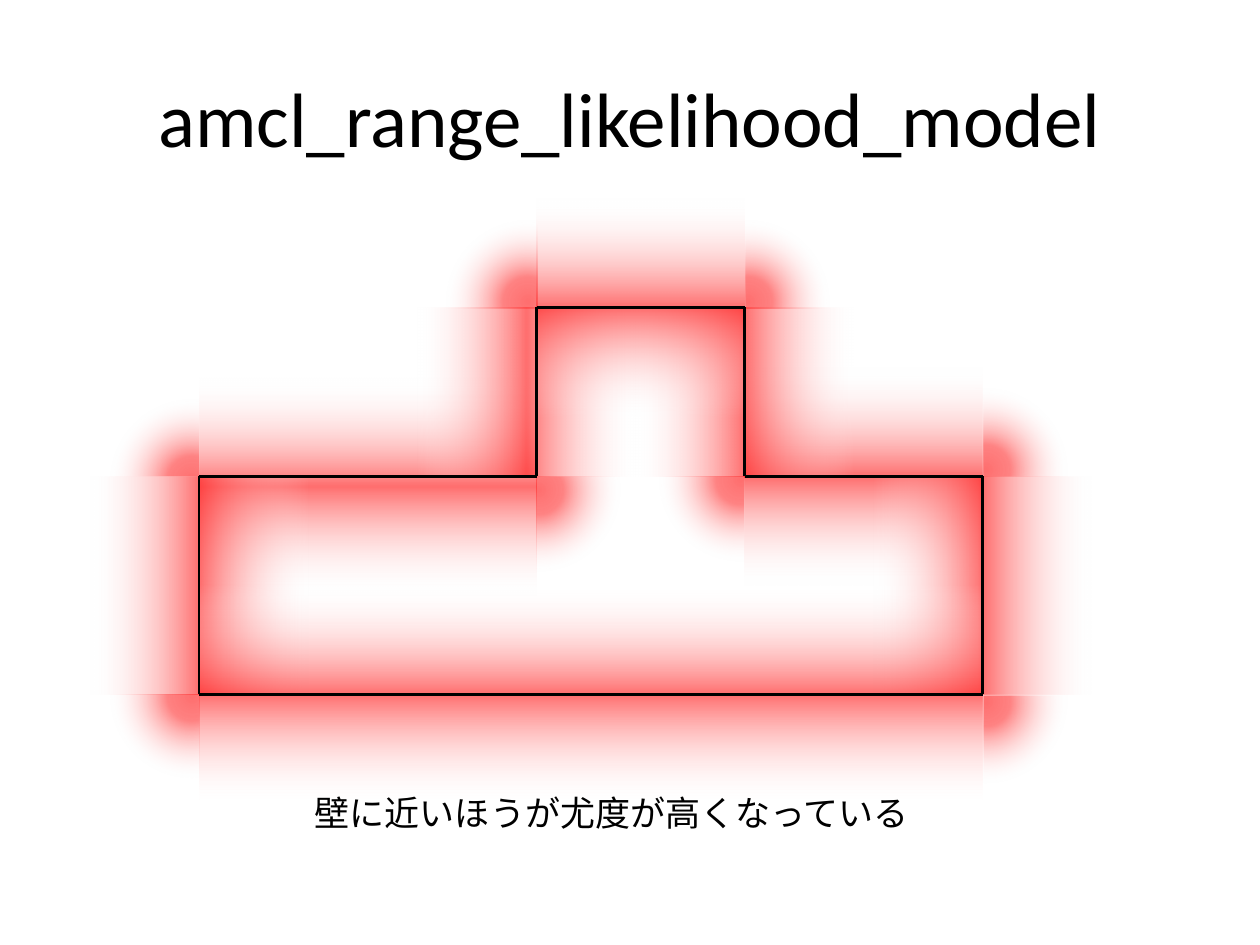
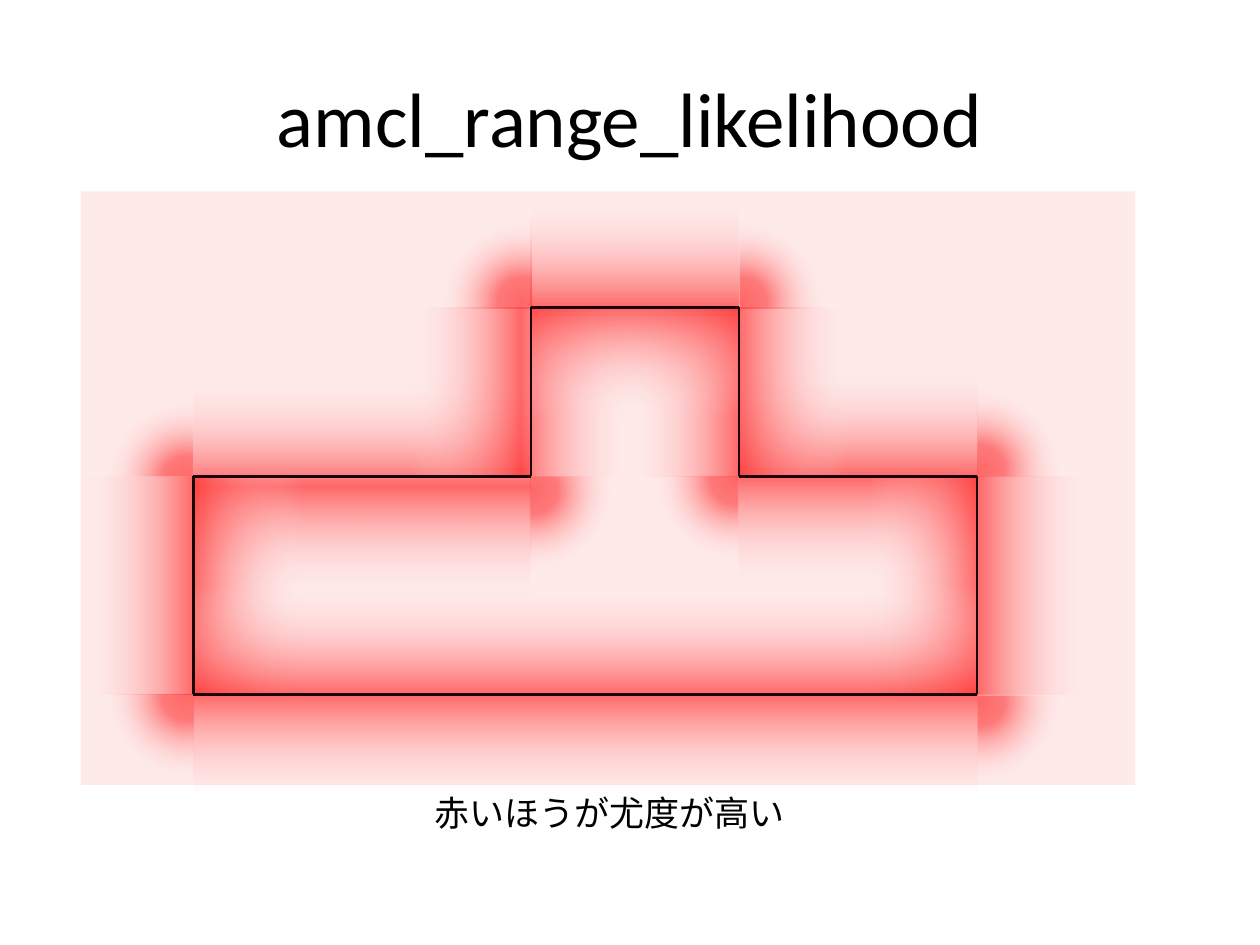
from lxml import etree
from pptx import Presentation
from pptx.dml.color import RGBColor
from pptx.enum.shapes import MSO_CONNECTOR, MSO_SHAPE
from pptx.enum.text import MSO_ANCHOR, MSO_AUTO_SIZE, PP_ALIGN
from pptx.oxml import parse_xml
from pptx.oxml.ns import nsdecls, qn
from pptx.util import Pt

RED, WHITE, BLACK = "FF3232", "FFFFFF", "000000"
FONT = "Calibri"
GLOW = 124.6
HALF = GLOW / 2

BAND_STOPS = [(0, WHITE, 0), (50, RED, 70), (100, WHITE, 0)]
BAND_PATH = '<a:lin ang="5400000" scaled="0"/>'
CORNER_STOPS = [(0, RED, 70), (16, RED, 60), (53, "FFF3F3", 0), (100, WHITE, 0)]
CORNER_PATH = ('<a:path path="circle"><a:fillToRect l="50000" t="50000" '
               'r="50000" b="50000"/></a:path>')

LEFT, NECK_LEFT, NECK_RIGHT, RIGHT = 113.8, 306.7, 425.5, 561.6
TOP, SHOULDER, BOTTOM = 175.7, 272.2, 396.7

WALLS = {
    "left": (LEFT, SHOULDER, LEFT, BOTTOM),
    "left shoulder": (LEFT, SHOULDER, NECK_LEFT, SHOULDER),
    "neck left": (NECK_LEFT, TOP, NECK_LEFT, SHOULDER),
    "top": (NECK_LEFT, TOP, NECK_RIGHT, TOP),
    "neck right": (NECK_RIGHT, TOP, NECK_RIGHT, SHOULDER),
    "right shoulder": (NECK_RIGHT, SHOULDER, RIGHT, SHOULDER),
    "right": (RIGHT, SHOULDER, RIGHT, BOTTOM),
    "bottom": (LEFT, BOTTOM, RIGHT, BOTTOM),
}
BANDS = [("left shoulder", 6), ("right shoulder", 0), ("right", 0), ("left", 0),
         ("neck left", -6), ("neck right", 0), ("bottom", 0), ("top", 0)]

CORNERS = {
    "top left": (0, (239, 110), (307.4, 110.4), (245.5, 176.4, 61.9, 60.5)),
    "shoulder left": (0, (47.5, 212.4), (113.8, 212.4), (51.8, 272.2, 62.6, 60.5)),
    "bottom left": (270, (47.5, 335.5), (79.2, 303.1), (113, 398.2, 62.6, 60.5)),
    "shoulder right": (90, (501.1, 205.9), (532.1, 241.2), (505.4, 216, 50.4, 62.6)),
    "neck right": (270, (360.7, 211.7), (392.4, 178.6), (424.1, 274.3, 62.6, 60.5)),
    "neck left": (180, (245.5, 217.4), (244.1, 217.4), (306.7, 214.6, 62.6, 57.6)),
    "bottom right": (180, (501.1, 338.4), (499.7, 337), (561.6, 334.8, 50.4, 62.6)),
    "top right": (90, (365, 110.2), (396.7, 145.4), (364.3, 115.2, 62.6, 60.5)),
}
ORDER = list(CORNERS)

SLIDES = [
    {"title": "amcl_range_likelihood_model", "caption": "壁に近いほうが尤度が高くなっている",
     "caption_box": (172.8, 448.6, 355, 31.5), "shift": 0, "order": ORDER, "veil": None},
    {"title": "amcl_range_likelihood", "caption": "赤いほうが尤度が高い",
     "caption_box": (241.2, 448.6, 229.7, 31.5), "shift": -3.3,
     "order": ORDER[1:] + ORDER[:1], "veil": (46.1, 109.4, 602.6, 339.1)},
]


def color(hex_code):
    """Turn a hex string into a colour."""
    return RGBColor.from_string(hex_code)


def add_plain(shapes, kind, box, fill, rotation=0):
    """Add a borderless preset shape with a solid fill."""
    shape = shapes.add_shape(kind, *map(Pt, box))
    shape.rotation = rotation
    shape.shadow.inherit = False
    shape.line.fill.background()
    shape.fill.solid()
    shape.fill.fore_color.rgb = color(fill)
    return shape


def set_gradient(shape, stops, direction):
    """Replace the solid fill with a gradient of transparent stops."""
    marks = "".join(
        f'<a:gs pos="{place * 1000}"><a:srgbClr val="{tone}">'
        f'<a:alpha val="{opacity * 1000}"/></a:srgbClr></a:gs>'
        for place, tone, opacity in stops)
    gradient = parse_xml(f'<a:gradFill {nsdecls("a")} rotWithShape="1">'
                         f'<a:gsLst>{marks}</a:gsLst>{direction}</a:gradFill>')
    properties = shape._element.spPr
    properties.replace(properties.find(qn("a:solidFill")), gradient)


def add_corner(slide, shift, rotation, glow, half, quarter):
    """Add a round glow masked down to one quarter."""
    shapes = slide.shapes.add_group_shape().shapes
    disc = add_plain(shapes, MSO_SHAPE.OVAL,
                     (glow[0] + shift, glow[1], GLOW, GLOW), RED, rotation)
    set_gradient(disc, CORNER_STOPS, CORNER_PATH)
    for x, y, width, height in ((*half, HALF, GLOW), quarter):
        add_plain(shapes, MSO_SHAPE.RECTANGLE, (x + shift, y, width, height),
                  WHITE, (rotation + 180) % 360)


def add_band(slide, shift, wall, offset):
    """Add the glow that runs along a wall on both sides."""
    x1, y1, x2, y2 = WALLS[wall]
    upright = x1 == x2
    length = (x2 - x1) + (y2 - y1)
    center_x = (x1 + x2) / 2 + shift + (offset if upright else 0)
    center_y = (y1 + y2) / 2 + (0 if upright else offset)
    width, height = (length, GLOW)
    band = add_plain(slide.shapes, MSO_SHAPE.RECTANGLE,
                     (center_x - width / 2, center_y - height / 2, width, height),
                     RED, 90 if upright else 0)
    set_gradient(band, BAND_STOPS, BAND_PATH)


def add_walls(slide, shift):
    """Draw the outline of the room as one group of lines."""
    shapes = slide.shapes.add_group_shape().shapes
    for x1, y1, x2, y2 in WALLS.values():
        wall = shapes.add_connector(MSO_CONNECTOR.STRAIGHT, Pt(x1 + shift), Pt(y1),
                                    Pt(x2 + shift), Pt(y2))
        wall.line.color.rgb = color(BLACK)
        wall.line.width = Pt(1.5)
        etree.SubElement(wall._element.spPr, qn("a:effectLst"))


def write(frame, text, size):
    """Set a one-line text in the shared font."""
    frame.text = text
    font = frame.paragraphs[0].runs[0].font
    font.name, font.size, font.color.rgb = FONT, Pt(size), color(BLACK)


def add_caption(slide, text, box):
    """Add the remark below the room."""
    frame = slide.shapes.add_textbox(*map(Pt, box)).text_frame
    frame.word_wrap = False
    frame.auto_size = MSO_AUTO_SIZE.SHAPE_TO_FIT_TEXT
    write(frame, text, 20)


def place_title(slide, text):
    """Format the title and bring it above the glows."""
    title = slide.shapes.title
    title.left, title.top, title.width, title.height = map(Pt, (36, 21.6, 648, 90))
    write(title.text_frame, text, 44)
    title.text_frame.vertical_anchor = MSO_ANCHOR.MIDDLE
    title.text_frame.paragraphs[0].alignment = PP_ALIGN.CENTER
    slide.shapes._spTree.append(title._element)


def add_veil(slide, box):
    """Lay a faint red sheet over the whole map."""
    veil = add_plain(slide.shapes, MSO_SHAPE.RECTANGLE, box, RED)
    tone = veil._element.spPr.find(qn("a:solidFill"))[0]
    etree.SubElement(tone, qn("a:alpha")).set("val", "10000")


def build():
    """Build both slides and save the file."""
    deck = Presentation()
    deck.slide_width, deck.slide_height = Pt(720), Pt(540)
    for content in SLIDES:
        slide = deck.slides.add_slide(deck.slide_layouts[5])
        shift = content["shift"]
        for corner in content["order"]:
            add_corner(slide, shift, *CORNERS[corner])
        for wall, offset in BANDS:
            add_band(slide, shift, wall, offset)
        add_walls(slide, shift)
        add_caption(slide, content["caption"], content["caption_box"])
        place_title(slide, content["title"])
        if content["veil"]:
            add_veil(slide, content["veil"])
    deck.save("out.pptx")


build()
